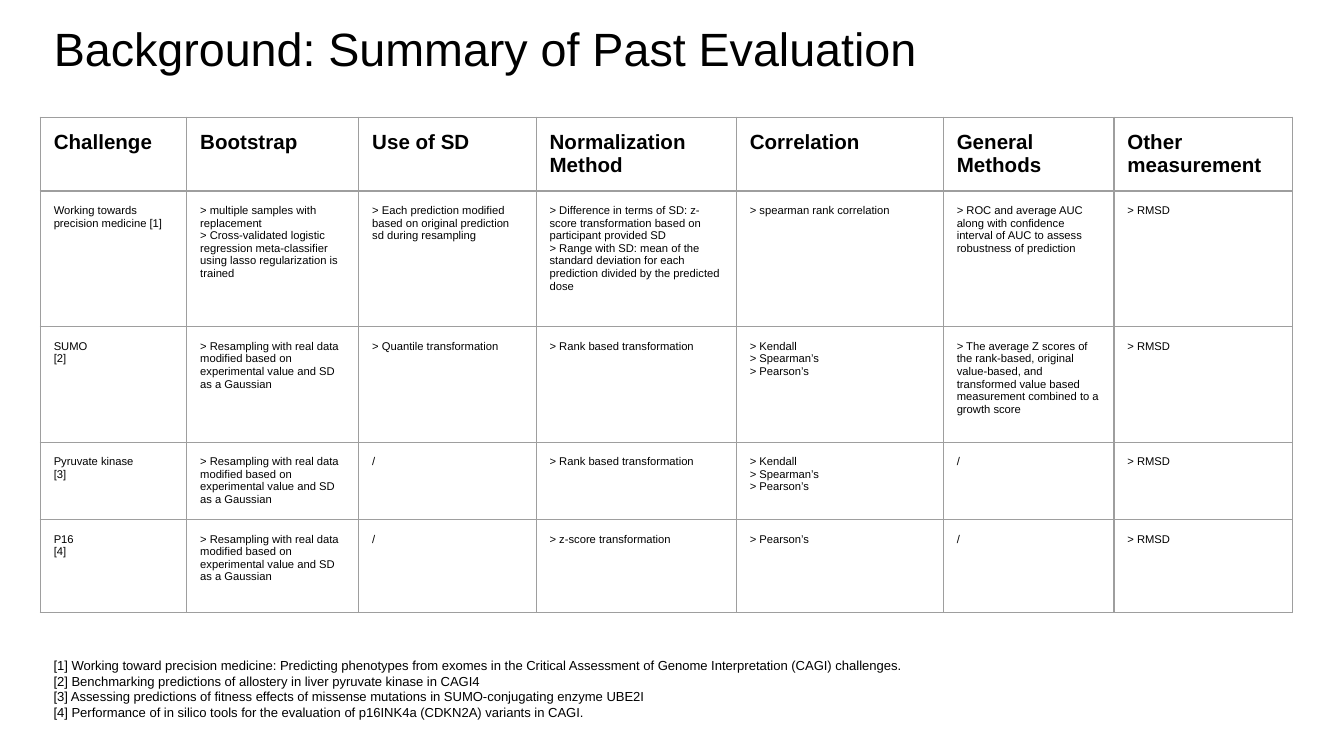
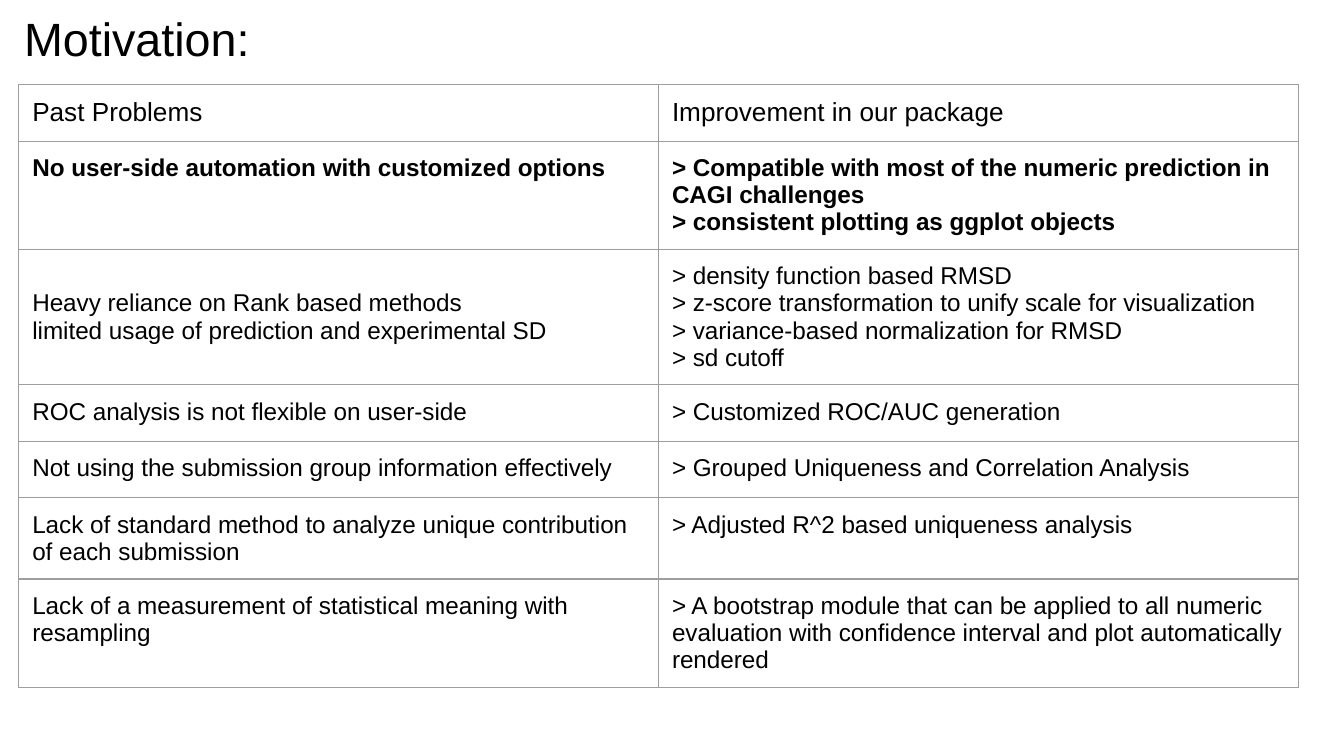
from lxml.etree import SubElement
from pptx import Presentation
from pptx.dml.color import RGBColor
from pptx.enum.text import MSO_ANCHOR, MSO_AUTO_SIZE, PP_ALIGN
from pptx.oxml.ns import qn
from pptx.util import Inches, Pt

FONT = "Arial"
BLACK, GREY = "000000", "9E9E9E"
INSET = Inches(0.1)
BORDER_WIDTH = Pt(0.75)
SLIDE_WIDTH, SLIDE_HEIGHT = Inches(10), Inches(5.625)
COLUMN, ROW = SLIDE_WIDTH / 100, SLIDE_HEIGHT / 100
TITLE_ONLY = 5

RESAMPLING = "> Resampling with real data modified based on experimental value and SD as a Gaussian"
CORRELATIONS = "> Kendall\n> Spearman’s\n> Pearson’s"
RANK, RMSD, NONE = "> Rank based transformation", "> RMSD", "/"

EVALUATIONS = [
    ["Challenge", "Bootstrap", "Use of SD", "Normalization Method", "Correlation",
     "General Methods", "Other measurement"],
    ["Working towards precision medicine [1]",
     "> multiple samples with replacement\n"
     "> Cross-validated logistic regression meta-classifier using lasso regularization is trained",
     "> Each prediction modified based on original prediction sd during resampling",
     "> Difference in terms of SD: z-score transformation based on participant provided SD\n"
     "> Range with SD: mean of the standard deviation for each prediction divided by the predicted dose",
     "> spearman rank correlation",
     "> ROC and average AUC along with confidence interval of AUC to assess robustness of prediction",
     RMSD],
    ["SUMO\n[2]", RESAMPLING, "> Quantile transformation", RANK, CORRELATIONS,
     "> The average Z scores of the rank-based, original value-based, and transformed value based "
     "measurement combined to a growth score",
     RMSD],
    ["Pyruvate kinase\n[3]", RESAMPLING, NONE, RANK, CORRELATIONS, NONE, RMSD],
    ["P16\n[4]", RESAMPLING, NONE, "> z-score transformation", "> Pearson’s", NONE, RMSD],
]

REFERENCES = (
    "[1] Working toward precision medicine: Predicting phenotypes from exomes in the Critical "
    "Assessment of Genome Interpretation (CAGI) challenges.\n"
    "[2] Benchmarking predictions of allostery in liver pyruvate kinase in CAGI4\n"
    "[3] Assessing predictions of fitness effects of missense mutations in SUMO-conjugating enzyme UBE2I\n"
    "[4] Performance of in silico tools for the evaluation of p16INK4a (CDKN2A) variants in CAGI."
)

IMPROVEMENTS = [
    ["Past Problems", "Improvement in our package"],
    ["No user-side automation with customized options",
     "> Compatible with most of the numeric prediction in CAGI challenges\n"
     "> consistent plotting as ggplot objects"],
    ["Heavy reliance on Rank based methods\nlimited usage of prediction and experimental SD",
     "> density function based RMSD\n> z-score transformation to unify scale for visualization\n"
     "> variance-based normalization for RMSD\n> sd cutoff"],
    ["ROC analysis is not flexible on user-side", "> Customized ROC/AUC generation"],
    ["Not using the submission group information effectively",
     "> Grouped Uniqueness and Correlation Analysis"],
    ["Lack of standard method to analyze unique contribution of each submission",
     "> Adjusted R^2 based uniqueness analysis"],
    ["Lack of a measurement of statistical meaning with resampling",
     "> A bootstrap module that can be applied to all numeric evaluation with confidence interval "
     "and plot automatically rendered"],
]


def color(value):
    return RGBColor.from_string(value)


def place(box):
    """Turn a box in grid columns and rows into slide lengths."""
    left, top, width, height = box
    return int(left * COLUMN), int(top * ROW), int(width * COLUMN), int(height * ROW)


def write(text_frame, text, size, bold=False, fill=BLACK):
    """Write one paragraph for each line of the text."""
    for index, line in enumerate(text.split("\n")):
        paragraph = text_frame.add_paragraph() if index else text_frame.paragraphs[0]
        paragraph.alignment = PP_ALIGN.LEFT
        run = paragraph.add_run()
        run.text = line
        run.font.name = FONT
        run.font.size = Pt(size)
        run.font.bold = bold
        run.font.color.rgb = color(fill)


def set_margins(holder):
    holder.margin_left = holder.margin_right = INSET
    holder.margin_top = holder.margin_bottom = INSET


def fill_text_shape(shape, text, size):
    text_frame = shape.text_frame
    text_frame.word_wrap = True
    text_frame.auto_size = MSO_AUTO_SIZE.NONE
    text_frame.vertical_anchor = MSO_ANCHOR.TOP
    set_margins(text_frame)
    write(text_frame, text, size)


def add_titled_slide(presentation, title, box):
    slide = presentation.slides.add_slide(presentation.slide_layouts[TITLE_ONLY])
    shape = slide.shapes.title
    shape.left, shape.top, shape.width, shape.height = place(box)
    fill_text_shape(shape, title, 25)
    return slide


def draw_borders(cell):
    properties = cell._tc.get_or_add_tcPr()
    for position, side in enumerate(("a:lnL", "a:lnR", "a:lnT", "a:lnB")):
        line = properties.makeelement(qn(side), {"w": str(BORDER_WIDTH)})
        properties.insert(position, line)
        solid = SubElement(line, qn("a:solidFill"))
        SubElement(solid, qn("a:srgbClr"), val=GREY)


def add_grid_table(slide, box, rows, widths, heights, text_format):
    """Share the box out by widths and heights; text_format gives each row's format."""
    left, top, width, height = place(box)
    table = slide.shapes.add_table(len(rows), len(widths), left, top, width, height).table
    table.first_row = table.horz_banding = False
    for column, share in zip(table.columns, widths):
        column.width = int(width * share / sum(widths))
    for row, share in zip(table.rows, heights):
        row.height = int(height * share / sum(heights))
    for row_index, texts in enumerate(rows):
        for column_index, text in enumerate(texts):
            cell = table.cell(row_index, column_index)
            cell.fill.background()
            set_margins(cell)
            draw_borders(cell)
            write(cell.text_frame, text, **text_format(row_index))
    return table


def build_background(presentation):
    slide = add_titled_slide(presentation, "Background: Summary of Past Evaluation",
                             (3, 0.9, 93.2, 11.2))
    add_grid_table(
        slide, (3, 15.5, 93.2, 65.4), EVALUATIONS,
        widths=[1.09, 1.28, 1.32, 1.49, 1.54, 1.27, 1.33],
        heights=[0.55, 1.01, 0.86, 0.57, 0.69],
        text_format=lambda row: {"size": 6, "bold": False} if row else {"size": 11, "bold": True},
    )
    references = slide.shapes.add_textbox(*place((3, 85.2, 95.8, 13.3)))
    fill_text_shape(references, REFERENCES, 7)


def build_motivation(presentation):
    slide = add_titled_slide(presentation, "Motivation:", (0.8, -0.5, 93.2, 8.4))
    table = add_grid_table(
        slide, (1.4, 11.2, 95.2, 79.5), IMPROVEMENTS,
        widths=[1, 1],
        heights=[0.42, 0.8, 1, 0.42, 0.42, 0.6, 0.8],
        text_format=lambda row: {"size": 13 if row else 14, "bold": row == 1},
    )
    table.cell(2, 0).vertical_anchor = MSO_ANCHOR.MIDDLE


def main():
    presentation = Presentation()
    presentation.slide_width, presentation.slide_height = SLIDE_WIDTH, SLIDE_HEIGHT
    build_background(presentation)
    build_motivation(presentation)
    presentation.save("out.pptx")


if __name__ == "__main__":
    main()
